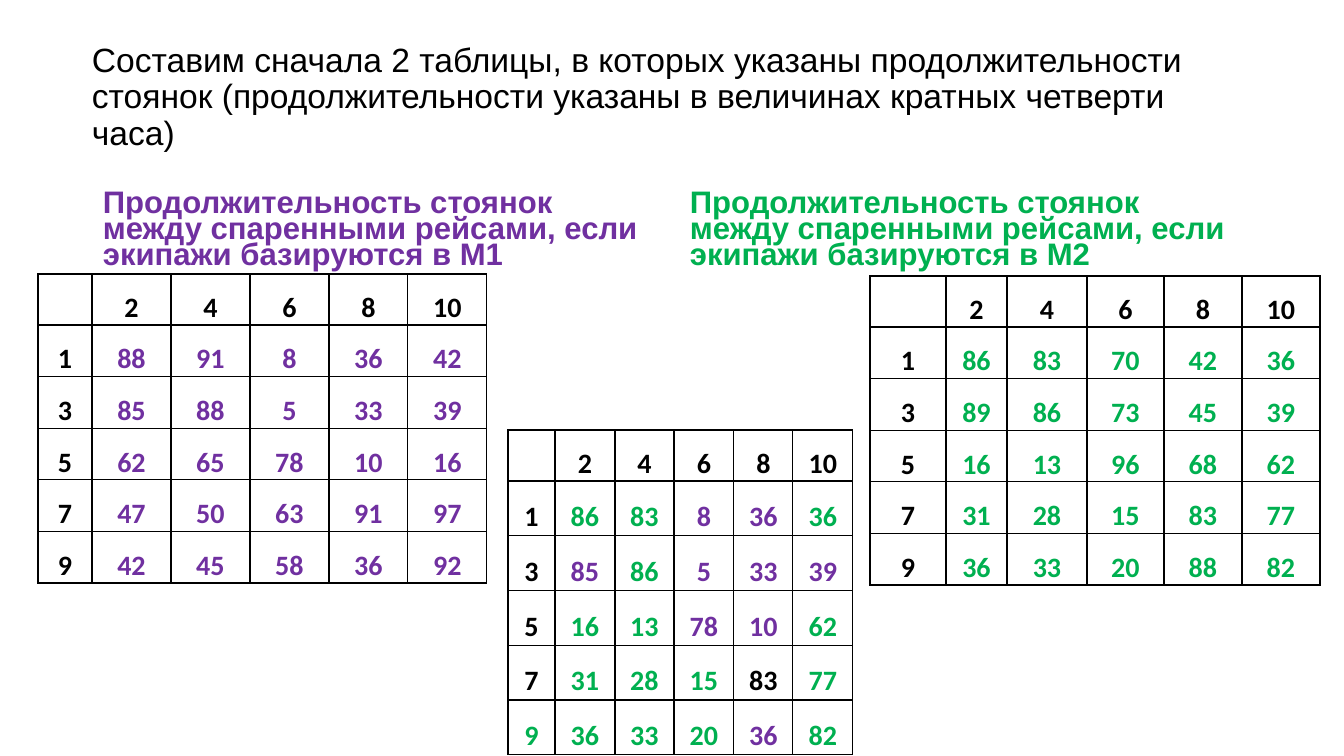
"""Build the slide with tables of layover durations for crews based in M1 and M2."""
import pptx
import pptx.dml.color
import pptx.enum.text
import pptx.oxml
import pptx.oxml.ns
import pptx.util

TITLE = ("Составим сначала 2 таблицы, в которых указаны продолжительности стоянок "
         "(продолжительности указаны в величинах кратных четверти часа)")
HEADING = "Продолжительность стоянок между спаренными рейсами, если экипажи базируются в "

THEME = {
    "k": "000000", "p": "7030A0", "g": "00B050",
    "title": 24, "heading": 22.2, "cell": 20, "border": 1,
    "text_font": "Arial", "table_font": "Calibri",
}

ANCHOR = pptx.enum.text.MSO_ANCHOR
TEXTS = [
    {"text": TITLE, "box": (82, 25, 1159, 146), "tone": "k", "size": "title",
     "bold": False, "spacing": 0.9, "anchor": ANCHOR.MIDDLE},
    {"text": HEADING + "М1", "box": (93, 185, 569, 91), "tone": "p", "size": "heading",
     "bold": True, "spacing": 0.7, "anchor": ANCHOR.BOTTOM},
    {"text": HEADING + "М2", "box": (680, 185, 572, 91), "tone": "g", "size": "heading",
     "bold": True, "spacing": 0.7, "anchor": ANCHOR.BOTTOM},
]

HEADER = ["", 2, 4, 6, 8, 10]
HEADER_HEIGHT = 51
TABLES = [
    {"at": (38, 274), "height": 309, "cols": [54, 79, 79, 79, 79, 79],
     "rows": [[1, 88, 91, 8, 36, 42],
              [3, 85, 88, 5, 33, 39],
              [5, 62, 65, 78, 10, 16],
              [7, 47, 50, 63, 91, 97],
              [9, 42, 45, 58, 36, 92]],
     "tones": ["kppppp"] * 5},
    {"at": (870, 276), "height": 309, "cols": [76, 61, 80, 77, 78, 78],
     "rows": [[1, 86, 83, 70, 42, 36],
              [3, 89, 86, 73, 45, 39],
              [5, 16, 13, 96, 68, 62],
              [7, 31, 28, 15, 83, 77],
              [9, 36, 33, 20, 88, 82]],
     "tones": ["kggggg"] * 5},
    {"at": (508, 430), "height": 325, "cols": [47, 60, 59, 60, 59, 60],
     "rows": [[1, 86, 83, 8, 36, 36],
              [3, 85, 86, 5, 33, 39],
              [5, 16, 13, 78, 10, 62],
              [7, 31, 28, 15, 83, 77],
              [9, 36, 33, 20, 36, 82]],
     "tones": ["kggppg", "kpgppp", "kggppg", "kgggkg", "ggggpg"]},
]


def px(n):
    return pptx.util.Emu(round(n * 914400 / 100.8))


def style(p, tone, size, font, bold, spacing):
    p.line_spacing = spacing
    p.font.name = THEME[font]
    p.font.size = pptx.util.Pt(THEME[size])
    p.font.bold = bold
    p.font.color.rgb = pptx.dml.color.RGBColor.from_string(THEME[tone])


def add_text(s, item):
    tf = s.shapes.add_textbox(*map(px, item["box"])).text_frame
    tf.word_wrap = True
    tf.vertical_anchor = item["anchor"]
    p = tf.paragraphs[0]
    p.text = item["text"]
    style(p, item["tone"], item["size"], "text_font", item["bold"], item["spacing"])


def add_borders(cell):
    tc_pr = cell._tc.get_or_add_tcPr()
    for side in "LRTB":
        tc_pr.append(pptx.oxml.parse_xml(
            f'<a:ln{side} {pptx.oxml.ns.nsdecls("a")} w="{pptx.util.Pt(THEME["border"])}">'
            f'<a:solidFill><a:srgbClr val="{THEME["k"]}"/></a:solidFill></a:ln{side}>'))


def fill_cell(cell, value, tone, anchor):
    add_borders(cell)
    cell.fill.background()
    cell.margin_left = cell.margin_right = px(7)
    cell.margin_top = cell.margin_bottom = 0
    cell.vertical_anchor = anchor
    p = cell.text_frame.paragraphs[0]
    p.text = str(value)
    p.alignment = pptx.enum.text.PP_ALIGN.CENTER
    style(p, tone, "cell", "table_font", True, 1.5)


def add_table(s, item):
    rows = [HEADER] + item["rows"]
    tones = ["k" * len(HEADER)] + item["tones"]
    row_height = (item["height"] - HEADER_HEIGHT) / len(item["rows"])
    size = (sum(item["cols"]), item["height"])
    table = s.shapes.add_table(len(rows), len(HEADER), *map(px, item["at"] + size)).table
    table.first_row = table.horz_banding = False
    for column, width in zip(table.columns, item["cols"]):
        column.width = px(width)
    for i, (values, row_tones) in enumerate(zip(rows, tones)):
        table.rows[i].height = px(row_height if i else HEADER_HEIGHT)
        anchor = ANCHOR.MIDDLE if i else ANCHOR.TOP
        for j, (value, tone) in enumerate(zip(values, row_tones)):
            fill_cell(table.cell(i, j), value, tone, anchor)


def main():
    prs = pptx.Presentation()
    prs.slide_width, prs.slide_height = px(1344), px(756)
    s = prs.slides.add_slide(prs.slide_layouts[6])
    for item in TEXTS:
        add_text(s, item)
    for item in TABLES:
        add_table(s, item)
    prs.save("out.pptx")


if __name__ == "__main__":
    main()
